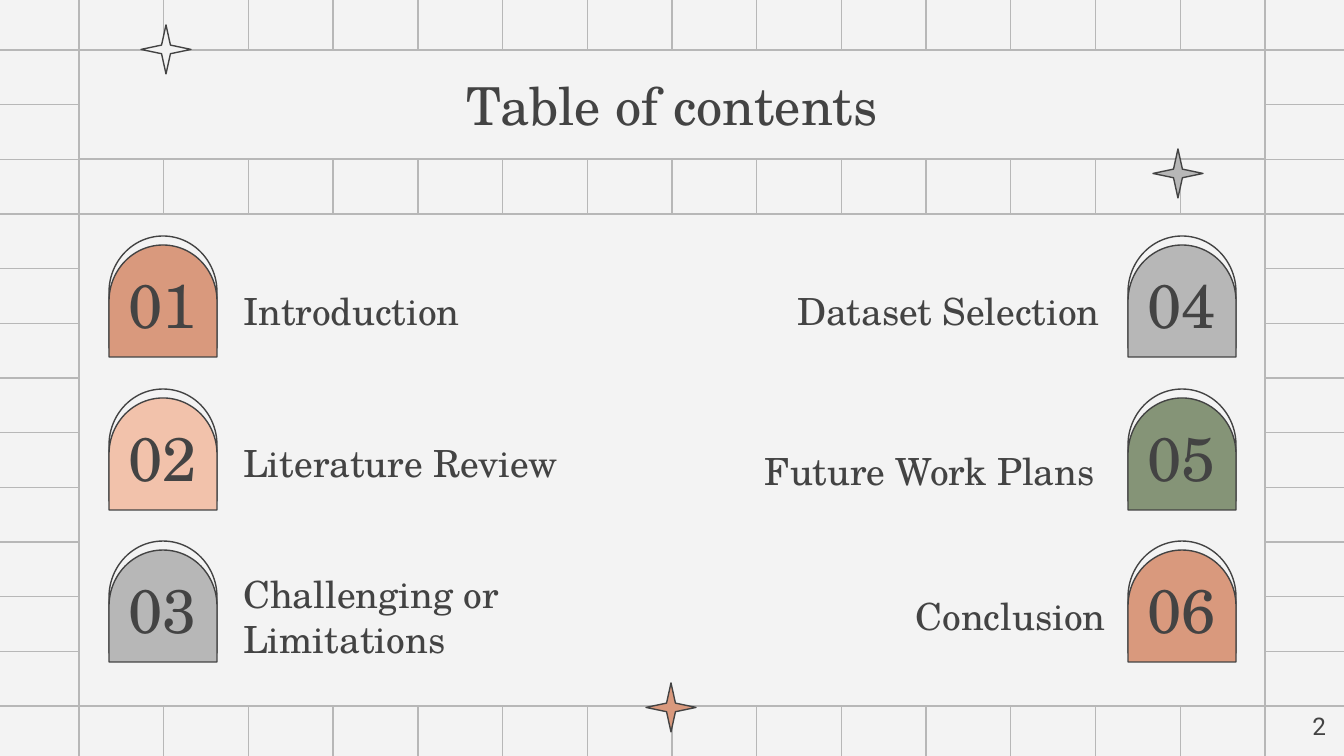
from lxml.etree import SubElement
from pptx import Presentation
from pptx.dml.color import RGBColor
from pptx.enum.shapes import MSO_CONNECTOR, MSO_SHAPE
from pptx.enum.text import MSO_ANCHOR, MSO_AUTO_SIZE, PP_ALIGN
from pptx.oxml.ns import qn
from pptx.util import Emu, Pt

EMU_PER_PX = 914400 / 134.4
WIDTH, HEIGHT = 1344, 756
GRID_LEFT, GRID_RIGHT, GRID_COLUMNS = 79, 1265, 14
GRID_TOP, GRID_BOTTOM, GRID_ROWS = 50, 706, 12
OVERHANG = 5
INSET = 13

PAPER = RGBColor(0xF3, 0xF3, 0xF3)
GRAY = RGBColor(0xB7, 0xB7, 0xB7)
INK = RGBColor(0x43, 0x43, 0x43)
CLAY = RGBColor(0xD9, 0x99, 0x7D)
PEACH = RGBColor(0xF2, 0xC2, 0xAB)
SAGE = RGBColor(0x85, 0x94, 0x77)

SERIF = "TeX Gyre Schola"
SANS = "Roboto"

ROW_TOPS = (238, 391, 543)
LEFT_TOPICS = (
    ("01", CLAY, "Introduction", 230, 284),
    ("02", PEACH, "Literature Review", 230, 436),
    ("03", GRAY, "Challenging or Limitations", 230, 589),
)
RIGHT_TOPICS = (
    ("04", GRAY, "Dataset Selection", 696, 284),
    ("05", SAGE, "Future Work Plans", 691, 444),
    ("06", CLAY, "Conclusion", 702, 589),
)
STARS = ((1153, 149, GRAY), (141, 25, PAPER), (646, 683, CLAY))


def px(length):
    return Emu(round(length * EMU_PER_PX))


def box(left, top, width, height):
    return px(left), px(top), px(width), px(height)


def paint(shape, fill, outline):
    shape.fill.solid()
    shape.fill.fore_color.rgb = fill
    shape.line.color.rgb = outline
    shape.line.width = Pt(0.75)


def add_outlined(shapes, preset, bounds, fill, outline=INK):
    shape = shapes.add_shape(preset, *box(*bounds))
    shape.shadow.inherit = False
    paint(shape, fill, outline)
    return shape


def write(shape, text, size, align, anchor=MSO_ANCHOR.MIDDLE, font=SERIF, after=0):
    frame = shape.text_frame
    frame.word_wrap = True
    frame.auto_size = MSO_AUTO_SIZE.NONE
    frame.vertical_anchor = anchor
    frame.margin_left = frame.margin_right = px(INSET)
    frame.margin_top = frame.margin_bottom = px(INSET)
    frame.text = text
    paragraph = frame.paragraphs[0]
    paragraph.alignment = align
    paragraph.space_after = Pt(after)
    paragraph.font.name = font
    paragraph.font.size = Pt(size)
    paragraph.font.color.rgb = INK


def add_label(slide, bounds, text, size, align, **style):
    write(slide.shapes.add_textbox(*box(*bounds)), text, size, align, **style)


def add_grid_line(grid, x1, y1, x2, y2):
    line = grid.shapes.add_connector(MSO_CONNECTOR.STRAIGHT, px(x1), px(y1), px(x2), px(y2))
    line.line.color.rgb = GRAY
    line.line.width = Pt(0.75)
    SubElement(line._element.spPr, qn("a:effectLst"))


def add_grid(slide):
    grid = slide.shapes.add_group_shape()
    column_step = (GRID_RIGHT - GRID_LEFT) / GRID_COLUMNS
    row_step = (GRID_BOTTOM - GRID_TOP) / GRID_ROWS
    middle_x, middle_y = WIDTH / 2, HEIGHT / 2
    for top, bottom in ((-OVERHANG, middle_y), (middle_y, HEIGHT + OVERHANG)):
        for column in range(GRID_COLUMNS + 1):
            x = GRID_LEFT + column * column_step
            add_grid_line(grid, x, top, x, bottom)
    for left, right in ((-OVERHANG, middle_x), (middle_x, WIDTH + OVERHANG)):
        for row in range(GRID_ROWS + 1):
            y = GRID_TOP + row * row_step
            add_grid_line(grid, left, y, right, y)


def add_title(slide):
    title = slide.shapes.title
    title.left, title.top, title.width, title.height = box(
        GRID_LEFT, GRID_TOP, GRID_RIGHT - GRID_LEFT, 109)
    paint(title, PAPER, GRAY)
    write(title, "Table of contents", 28, PP_ALIGN.CENTER)
    slide.shapes._spTree.append(title._element)


def add_arch(slide, left, top, color):
    arch = slide.shapes.add_group_shape()
    for offset, fill in ((0, PAPER), (9, color)):
        half_round = add_outlined(
            arch.shapes, MSO_SHAPE.FLOWCHART_DELAY, (left, top + offset, 112, 108), fill)
        half_round.rotation = 270


def add_topics(slide, topics, arch_left, align):
    for row_top, (number, color, topic, left, top) in zip(ROW_TOPS, topics):
        add_arch(slide, arch_left, row_top, color)
        add_label(slide, (left, top, 417, 54), topic, 20, align, after=12)
        add_label(slide, (arch_left - 7, row_top + 30, 125, 72), number, 33, PP_ALIGN.CENTER)


def add_star(slide, left, top, color):
    star = add_outlined(slide.shapes, MSO_SHAPE.STAR_4_POINT, (left, top, 50, 49), color)
    star.adjustments[0] = 0.125


def main():
    presentation = Presentation()
    presentation.slide_width, presentation.slide_height = px(WIDTH), px(HEIGHT)
    slide = presentation.slides.add_slide(presentation.slide_layouts[5])
    slide.background.fill.solid()
    slide.background.fill.fore_color.rgb = PAPER

    add_grid(slide)
    add_outlined(slide.shapes, MSO_SHAPE.RECTANGLE,
                 (GRID_LEFT, 214, GRID_RIGHT - GRID_LEFT, GRID_BOTTOM - 214), PAPER, GRAY)
    add_title(slide)
    add_topics(slide, LEFT_TOPICS, 107, PP_ALIGN.LEFT)
    add_topics(slide, RIGHT_TOPICS, 1126, PP_ALIGN.RIGHT)
    for left, top, color in STARS:
        add_star(slide, left, top, color)
    add_label(slide, (1258, 698, 81, 58), "2", 13, PP_ALIGN.RIGHT,
              anchor=MSO_ANCHOR.TOP, font=SANS)

    presentation.save("out.pptx")


if __name__ == "__main__":
    main()
